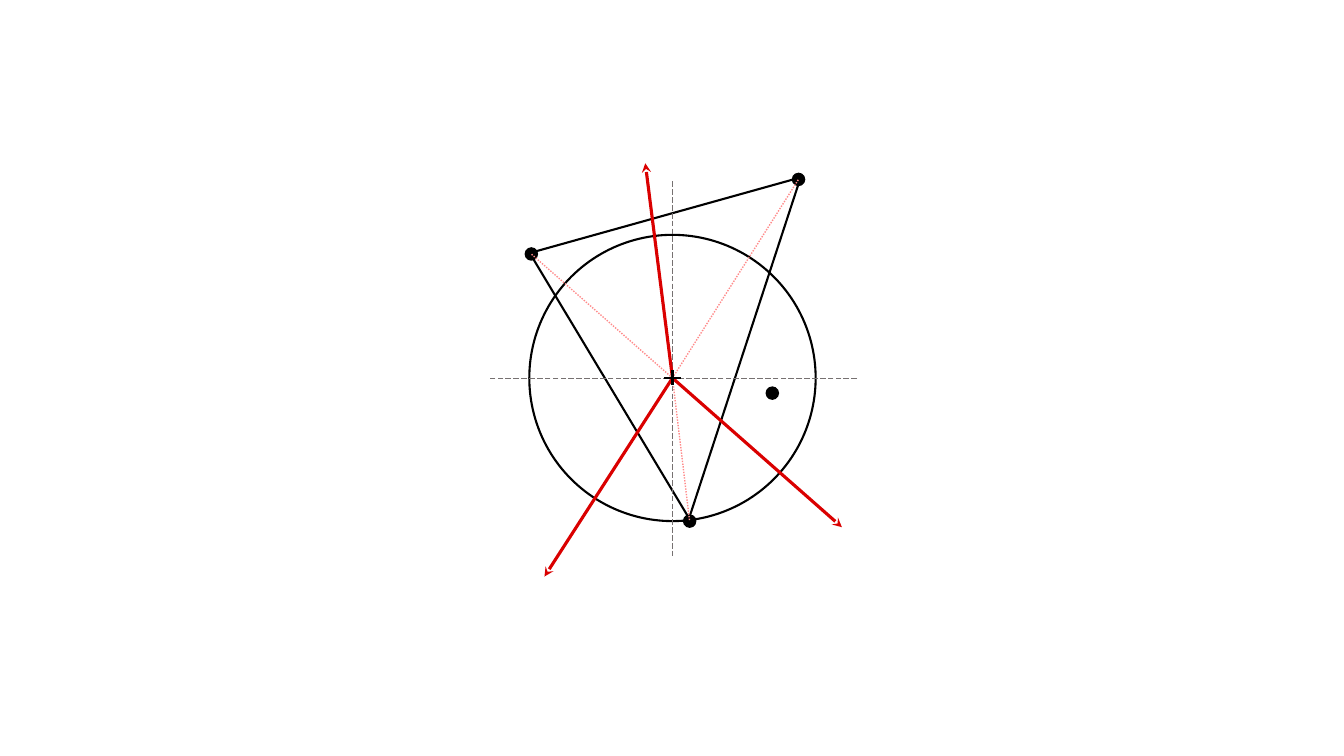
from lxml import etree
from pptx import Presentation
from pptx.dml.color import RGBColor
from pptx.enum.dml import MSO_LINE
from pptx.enum.shapes import MSO_CONNECTOR, MSO_SHAPE
from pptx.oxml.ns import qn
from pptx.util import Inches, Pt

BLACK, GREY, RED, PINK = "000000", "767171", "DA0000", "FF8B8B"

CENTER = (6.67, 3.75)
RADIUS = 1.42
DOT_RADIUS = 0.06
TRIANGLE = {"box": (5.6, 2.08, 2.79, 2.96), "rotation": 164.4, "apex": 0.708}
VERTICES = [(7.92, 1.78), (5.27, 2.52), (6.84, 5.17)]
INNER_POINT = (7.66, 3.9)
AXES = [((6.67, 1.8), (6.67, 5.52)), ((8.5, 3.75), (4.84, 3.75))]
ARROW_TIPS = [(6.4, 1.62), (5.4, 5.72), (8.35, 5.23)]
CROSS = [((6.67, 3.67), (6.67, 3.82)), ((6.59, 3.75), (6.75, 3.75))]


def color(hex_string):
    return RGBColor.from_string(hex_string)


def style_line(line, hex_string, width, dash=None):
    line.color.rgb = color(hex_string)
    line.width = Pt(width)
    if dash:
        line.dash_style = dash


def add_outline(group, preset, box, width, fill=None):
    shape = group.shapes.add_shape(preset, *map(Inches, box))
    shape.shadow.inherit = False
    if fill:
        shape.fill.solid()
        shape.fill.fore_color.rgb = color(fill)
    else:
        shape.fill.background()
    style_line(shape.line, BLACK, width)
    return shape


def add_circle(group, center, radius, width, fill=None):
    box = (center[0] - radius, center[1] - radius, 2 * radius, 2 * radius)
    add_outline(group, MSO_SHAPE.OVAL, box, width, fill)


def add_dot(group, center):
    add_circle(group, center, DOT_RADIUS, 1, BLACK)


def add_segment(group, start, end, hex_string, width, dash=None, arrow=False):
    segment = group.shapes.add_connector(
        MSO_CONNECTOR.STRAIGHT, *map(Inches, (*start, *end)))
    style_line(segment.line, hex_string, width, dash)
    properties = segment._element.spPr
    if arrow:
        etree.SubElement(properties.find(qn("a:ln")), qn("a:tailEnd"), type="stealth")
    etree.SubElement(properties, qn("a:effectLst"))


def main():
    deck = Presentation()
    deck.slide_width, deck.slide_height = Inches(13.33), Inches(7.5)
    page = deck.slides.add_slide(deck.slide_layouts[6])
    figure = page.shapes.add_group_shape()

    triangle = add_outline(figure, MSO_SHAPE.ISOSCELES_TRIANGLE, TRIANGLE["box"], 1.5)
    triangle.adjustments[0] = TRIANGLE["apex"]
    triangle.rotation = TRIANGLE["rotation"]
    add_circle(figure, CENTER, RADIUS, 1.5)
    for start, end in AXES:
        add_segment(figure, start, end, GREY, 0.5, MSO_LINE.LONG_DASH)
    for vertex in VERTICES:
        add_dot(figure, vertex)
    for tip in ARROW_TIPS:
        add_segment(figure, CENTER, tip, RED, 2.25, arrow=True)
    for vertex in VERTICES:
        add_segment(figure, CENTER, vertex, PINK, 1, MSO_LINE.ROUND_DOT)
    for start, end in CROSS:
        add_segment(figure, start, end, BLACK, 1.5)
    add_dot(figure, INNER_POINT)

    deck.save("out.pptx")


if __name__ == "__main__":
    main()
